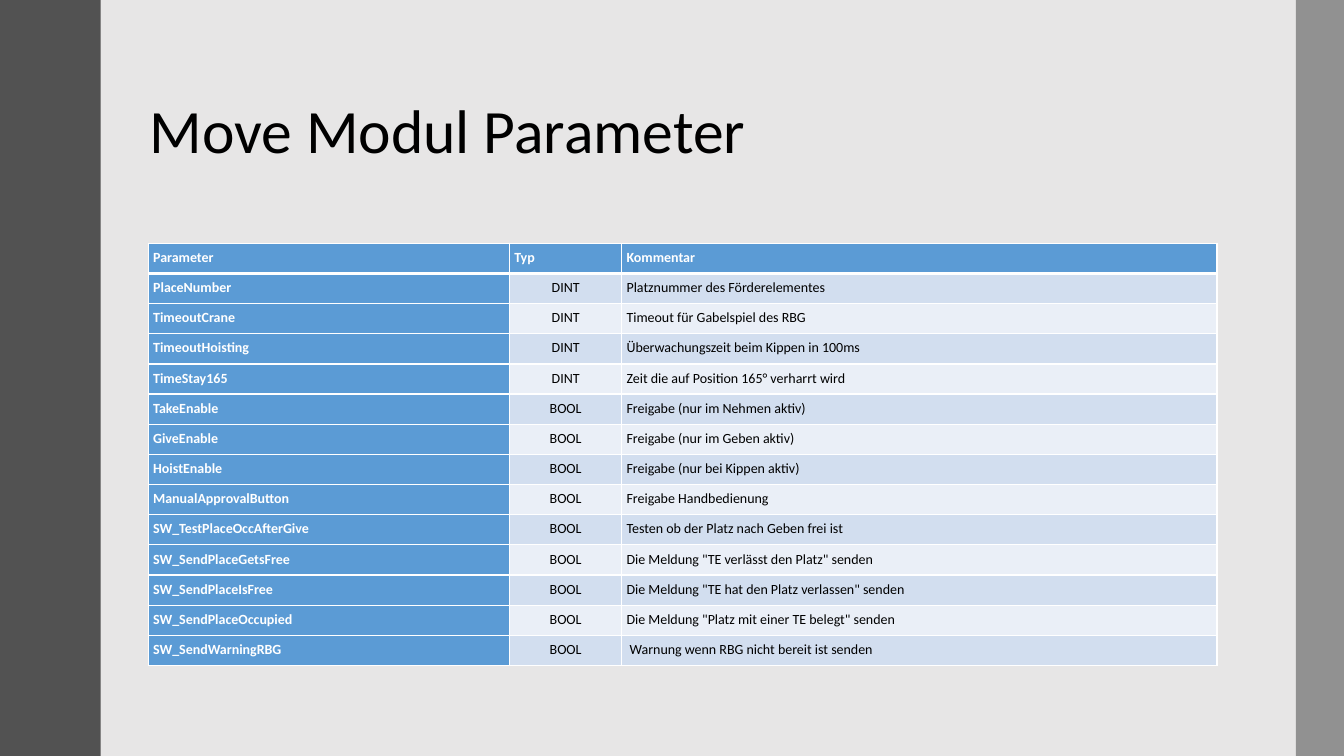
from lxml.etree import SubElement
from pptx import Presentation
from pptx.dml.color import RGBColor
from pptx.enum.shapes import MSO_SHAPE
from pptx.enum.text import MSO_ANCHOR as Anchor, PP_ALIGN as Align
from pptx.oxml.ns import qn
from pptx.util import Cm, Pt

COLOURS = {
    "background": "E7E6E6",
    "left band": "525252",
    "right band": "595959",
    "header": "5B9BD5",
    "odd row": "D2DEEF",
    "even row": "EAEFF7",
    "black": "000000",
    "white": "FFFFFF",
}

HEADINGS = ("Parameter", "Typ", "Kommentar")
PARAMETERS = [
    ("PlaceNumber", "DINT", "Platznummer des Förderelementes"),
    ("TimeoutCrane", "DINT", "Timeout für Gabelspiel des RBG"),
    ("TimeoutHoisting", "DINT", "Überwachungszeit beim Kippen in 100ms"),
    ("TimeStay165", "DINT", "Zeit die auf Position 165° verharrt wird"),
    ("TakeEnable", "BOOL", "Freigabe (nur im Nehmen aktiv)"),
    ("GiveEnable", "BOOL", "Freigabe (nur im Geben aktiv)"),
    ("HoistEnable", "BOOL", "Freigabe (nur bei Kippen aktiv)"),
    ("ManualApprovalButton", "BOOL", "Freigabe Handbedienung"),
    ("SW_TestPlaceOccAfterGive", "BOOL", "Testen ob der Platz nach Geben frei ist"),
    ("SW_SendPlaceGetsFree", "BOOL", 'Die Meldung "TE verlässt den Platz" senden'),
    ("SW_SendPlaceIsFree", "BOOL", 'Die Meldung "TE hat den Platz verlassen" senden'),
    ("SW_SendPlaceOccupied", "BOOL", 'Die Meldung "Platz mit einer TE belegt" senden'),
    ("SW_SendWarningRBG", "BOOL", " Warnung wenn RBG nicht bereit ist senden"),
]


def colour(name):
    return RGBColor.from_string(COLOURS[name])


def write(frame, text, font="Calibri", size=10, ink="black", bold=False,
          align=Align.LEFT, spacing=1.07):
    paragraph = frame.paragraphs[0]
    paragraph.alignment = align
    paragraph.line_spacing = spacing
    run = paragraph.add_run()
    run.text = text
    run.font.name = font
    run.font.size = Pt(size)
    run.font.bold = bold
    run.font.color.rgb = colour(ink)


def set_borders(cell, **widths):
    """Draw white cell borders; widths in points, keyed L, R, T, B in that order."""
    properties = cell._tc.get_or_add_tcPr()
    for side, width in widths.items():
        line = SubElement(properties, qn(f"a:ln{side}"), w=str(Pt(width)))
        fill = SubElement(line, qn("a:solidFill"))
        SubElement(fill, qn("a:srgbClr"), val=COLOURS["white"])


class ParameterSlide:
    def __init__(self, presentation):
        self.slide = presentation.slides.add_slide(presentation.slide_layouts[5])
        background = self.slide.background.fill
        background.solid()
        background.fore_color.rgb = colour("background")

    def title(self, text, left, top, width, height):
        title = self.slide.shapes.title
        title.left, title.top = Cm(left), Cm(top)
        title.width, title.height = Cm(width), Cm(height)
        title.text_frame.vertical_anchor = Anchor.MIDDLE
        title.text_frame.word_wrap = True
        write(title.text_frame, text, size=44, spacing=0.9)

    def band(self, left, width, fill, opacity=100):
        band = self.slide.shapes.add_shape(
            MSO_SHAPE.RECTANGLE, Cm(left), 0, Cm(width), Cm(19.05))
        band.shadow.inherit = False
        band.line.fill.background()
        band.fill.solid()
        band.fill.fore_color.rgb = colour(fill)
        if opacity < 100:
            tint = band._element.spPr.find(f".//{qn('a:srgbClr')}")
            SubElement(tint, qn("a:alpha"), val=str(opacity * 1000))

    def table(self, rows, left, top, widths, row_height):
        table = self.slide.shapes.add_table(
            len(rows), len(widths), Cm(left), Cm(top),
            Cm(sum(widths)), Cm(row_height * len(rows))).table
        table.first_col = True
        for column, width in zip(table.columns, widths):
            column.width = Cm(width)
        for row_index, row in enumerate(rows):
            table.rows[row_index].height = Cm(row_height)
            for column_index, text in enumerate(row):
                self.cell(table.cell(row_index, column_index), text,
                          row_index, column_index)

    def cell(self, cell, text, row, column):
        heading = row == 0 or column == 0
        stripe = "odd row" if row % 2 else "even row"
        cell.margin_left = cell.margin_right = Cm(0.12)
        cell.margin_top = cell.margin_bottom = Cm(0.12)
        set_borders(cell, L=1, R=1, T=3 if row == 1 else 1, B=3 if row == 0 else 1)
        cell.fill.solid()
        cell.fill.fore_color.rgb = colour("header" if heading else stripe)
        write(cell.text_frame, text, bold=heading,
              ink="white" if heading else "black",
              align=Align.CENTER if row and column == 1 else Align.LEFT)


def main():
    presentation = Presentation()
    presentation.slide_width, presentation.slide_height = Cm(33.87), Cm(19.05)
    page = ParameterSlide(presentation)
    page.title("Move Modul Parameter", 3.51, 1.52, 27.38, 3.68)
    page.band(0, 2.54, "left band")
    page.band(32.66, 1.21, "right band", opacity=60)
    page.table([HEADINGS, *PARAMETERS], 3.74, 6.13, (9.1, 2.83, 15), 0.76)
    presentation.save("out.pptx")


if __name__ == "__main__":
    main()
